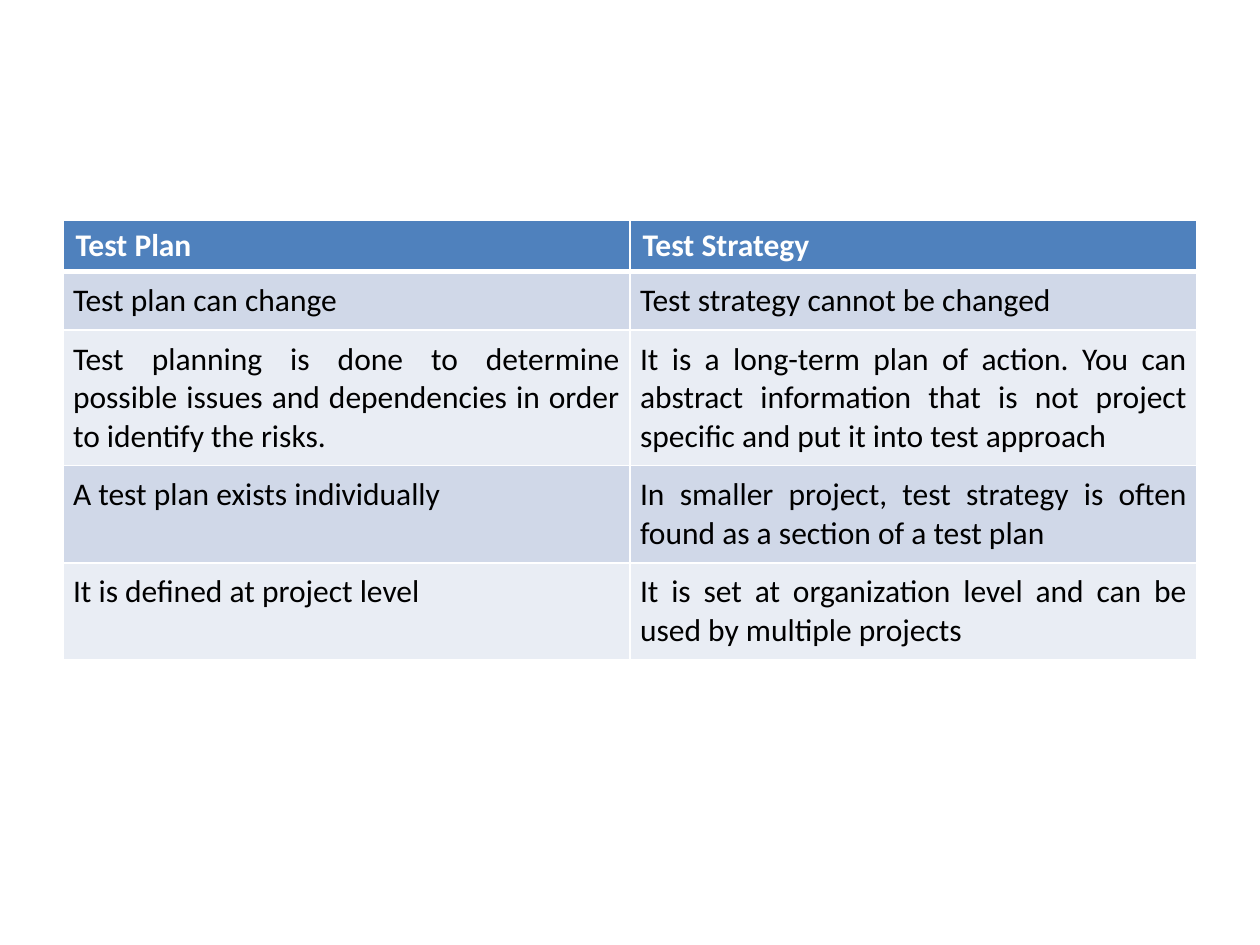
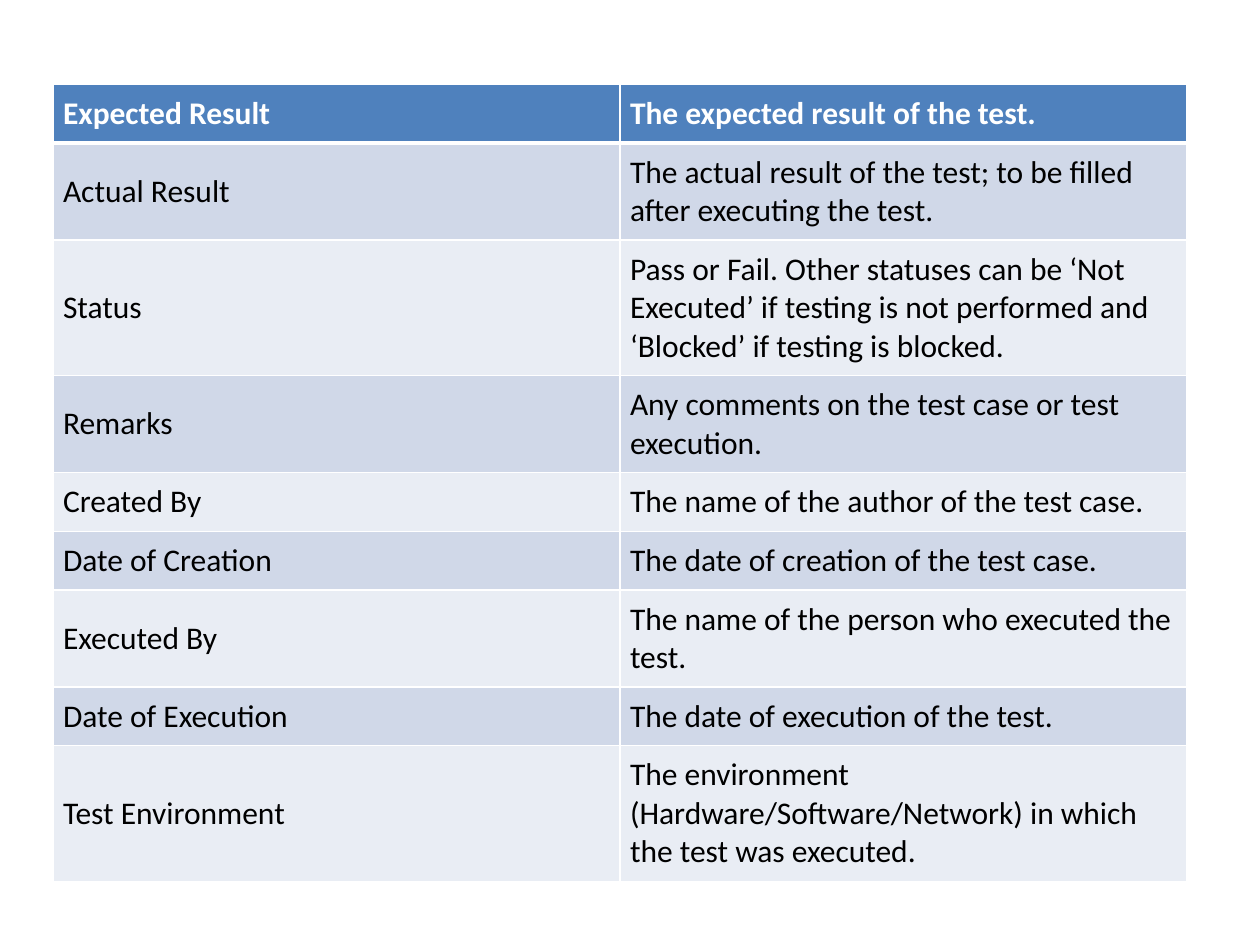
from lxml.etree import SubElement
from pptx import Presentation
from pptx.dml.color import RGBColor
from pptx.enum.text import MSO_ANCHOR, PP_ALIGN
from pptx.oxml.ns import qn
from pptx.util import Inches, Pt

# Content
PLAN_VERSUS_STRATEGY = [
    ("Test Plan", "Test Strategy"),
    ("Test plan can change", "Test strategy cannot be changed"),
    ("Test planning is done to determine possible issues and dependencies in order to identify the risks.",
     "It is a long-term plan of action. You can abstract information that is not project specific "
     "and put it into test approach"),
    ("A test plan exists individually",
     "In smaller project, test strategy is often found as a section of a test plan"),
    ("It is defined at project level",
     "It is set at organization level and can be used by multiple projects"),
]
TEST_CASE_FIELDS = [
    ("Expected Result", "The expected result of the test."),
    ("Actual Result", "The actual result of the test; to be filled after executing the test."),
    ("Status", "Pass or Fail. Other statuses can be ‘Not Executed’ if testing is not performed "
               "and ‘Blocked’ if testing is blocked."),
    ("Remarks", "Any comments on the test case or test execution."),
    ("Created By", "The name of the author of the test case."),
    ("Date of Creation", "The date of creation of the test case."),
    ("Executed By", "The name of the person who executed the test."),
    ("Date of Execution", "The date of execution of the test."),
    ("Test Environment", "The environment (Hardware/Software/Network) in which the test was executed."),
]
TABLES = [
    dict(rows=PLAN_VERSUS_STRATEGY, left=0.5, top=1.75, height=3.47, header_height=0.33,
         anchor=MSO_ANCHOR.TOP, body_align=PP_ALIGN.JUSTIFY, header_padded=False),
    dict(rows=TEST_CASE_FIELDS, left=0.42, top=0.67, height=6.3, header_height=0.41,
         anchor=MSO_ANCHOR.MIDDLE, body_align=PP_ALIGN.LEFT, header_padded=True),
]

# Shared style
FONT, TEXT_SIZE = "Calibri", 18
WHITE, BLACK, HEADER_FILL = "FFFFFF", "000000", "4F81BD"
BAND_FILLS = ("E9EDF4", "D0D8E8")
TABLE_WIDTH, ROW_HEIGHT, PADDING = 9, 0.41, 0.08
THIN, THICK = 1, 3


def color(hex_value):
    return RGBColor.from_string(hex_value)


def set_borders(cell, top, bottom):
    properties = cell._tc.get_or_add_tcPr()
    for side, width in (("L", THIN), ("R", THIN), ("T", top), ("B", bottom)):
        line = SubElement(properties, qn(f"a:ln{side}"), w=str(Pt(width)))
        fill = SubElement(line, qn("a:solidFill"))
        SubElement(fill, qn("a:srgbClr"), val=WHITE)


def style_cell(cell, row_index, anchor, body_align, header_padded):
    is_header = row_index == 0
    # Borders come before the fill in the cell properties
    set_borders(cell, top=THICK if row_index == 1 else THIN, bottom=THICK if is_header else THIN)
    cell.fill.solid()
    cell.fill.fore_color.rgb = color(HEADER_FILL if is_header else BAND_FILLS[row_index % 2])
    cell.vertical_anchor = anchor
    if header_padded or not is_header:
        cell.margin_left = cell.margin_right = Inches(PADDING)
        cell.margin_top = cell.margin_bottom = Inches(PADDING)
    paragraph = cell.text_frame.paragraphs[0]
    paragraph.alignment = PP_ALIGN.LEFT if is_header else body_align
    paragraph.font.name = FONT
    paragraph.font.size = Pt(TEXT_SIZE)
    paragraph.font.bold = is_header
    paragraph.font.color.rgb = color(WHITE if is_header else BLACK)


def add_text_table(slide, rows, left, top, height, header_height, **cell_style):
    frame = slide.shapes.add_table(len(rows), len(rows[0]), Inches(left), Inches(top),
                                   Inches(TABLE_WIDTH), Inches(height))
    for row_index, texts in enumerate(rows):
        row = frame.table.rows[row_index]
        row.height = Inches(ROW_HEIGHT if row_index else header_height)
        for cell, text in zip(row.cells, texts):
            cell.text = text
            style_cell(cell, row_index, **cell_style)
    # Rows grow with their text, up to the full table height
    frame.height = Inches(height)


def main():
    presentation = Presentation()
    presentation.slide_width, presentation.slide_height = Inches(10), Inches(7.5)
    for table in TABLES:
        slide = presentation.slides.add_slide(presentation.slide_layouts[6])
        add_text_table(slide, **table)
    presentation.save("out.pptx")


if __name__ == "__main__":
    main()
